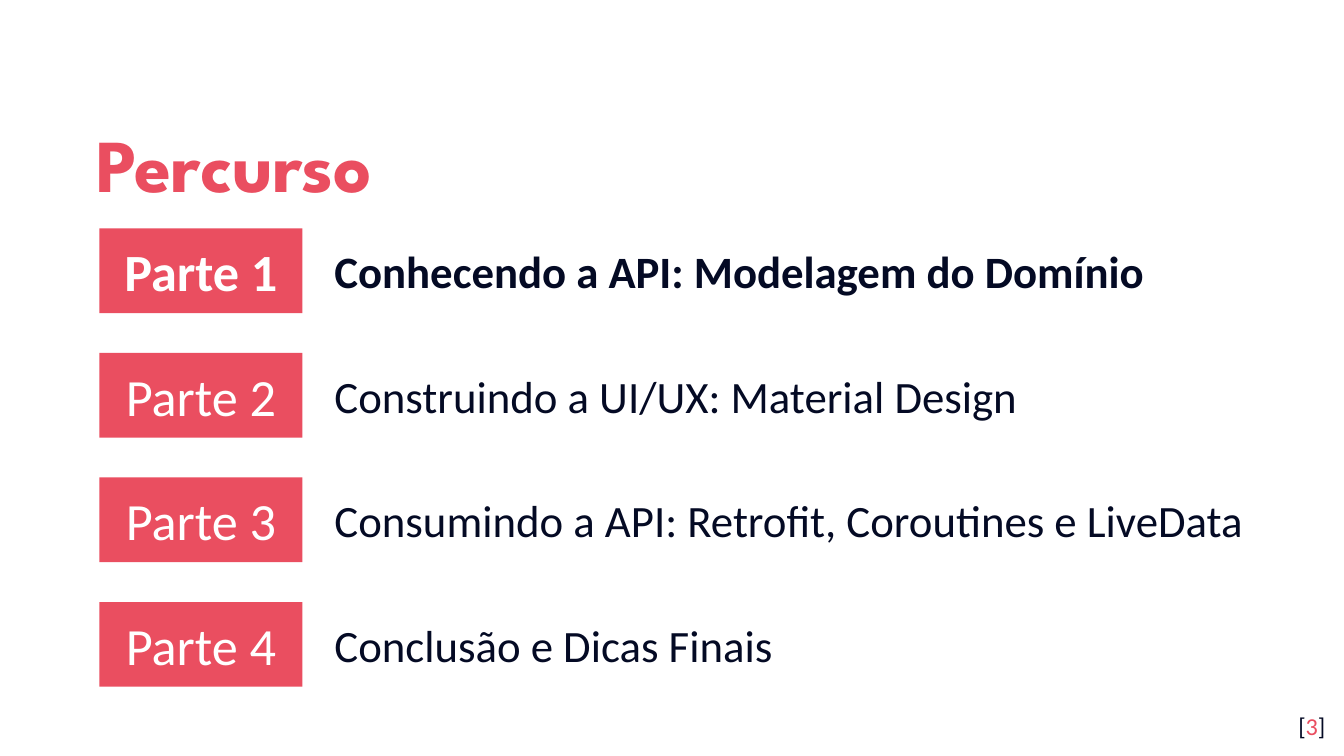
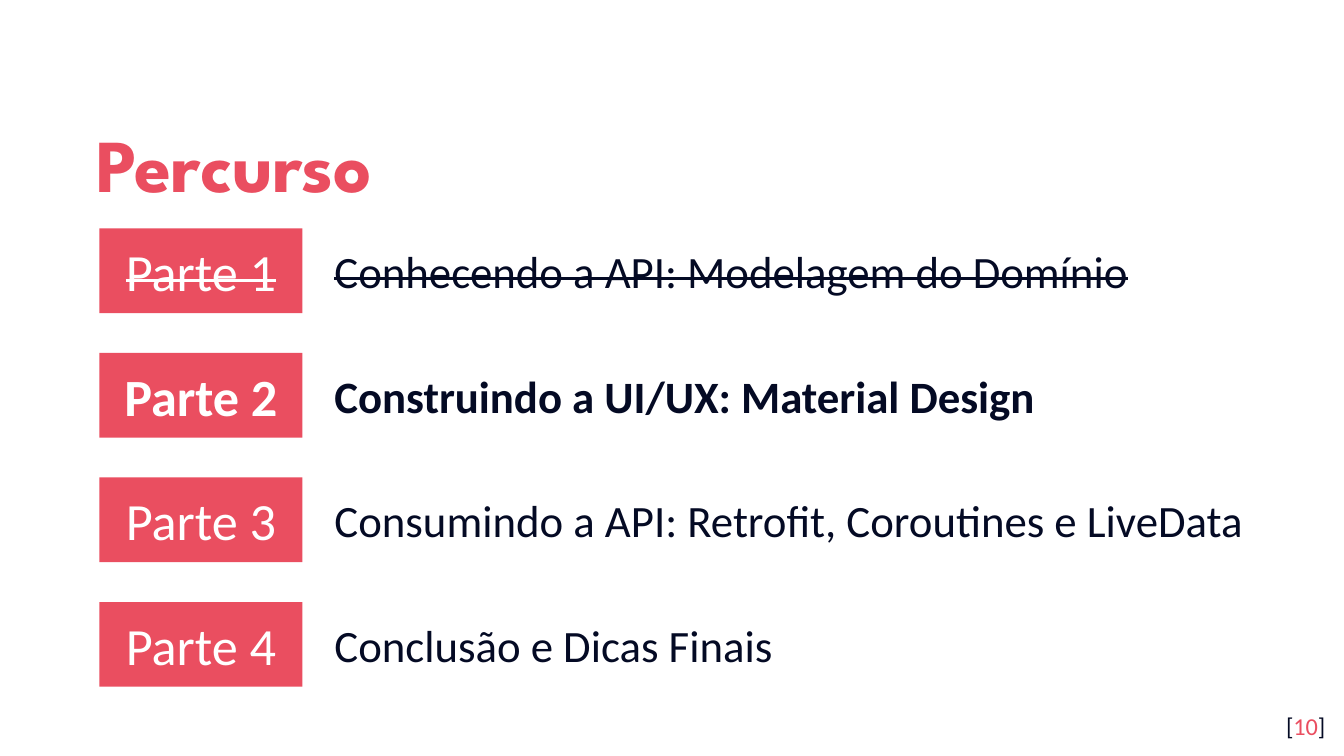
from pptx import Presentation
from pptx import util as u
from pptx.dml import color
from pptx.enum import shapes, text

# Shared look
CORAL, NAVY, WHITE = "EA4E60", "040A24", "FFFFFF"
TITLE_FONT, BODY_FONT = "League Spartan", "Calibri"

# Widescreen page, 16 by 9
SLIDE_WIDTH = 10
SLIDE_HEIGHT = SLIDE_WIDTH * 9 / 16

# Left, top, width, height in inches
TITLE_BOX = (0.62, 0.7, 8.1, 0.92)
AGENDA_BOX = (0.74, 1.7, 9.18, 3.41)
PAGE_BOX = (9.36, 5.19, 0.6, 0.43)

TOPICS = [
    "Conhecendo a API: Modelagem do Domínio",
    "Construindo a UI/UX: Material Design",
    "Consumindo a API: Retrofit, Coroutines e LiveData",
    "Conclusão e Dicas Finais",
]


def rgb(hex_code):
    return color.RGBColor.from_string(hex_code)


def inches(box):
    return [u.Inches(length) for length in box]


def set_frame(frame, inset_y=0.1, anchor=text.MSO_ANCHOR.TOP):
    frame.word_wrap = True
    frame.vertical_anchor = anchor
    frame.margin_left = frame.margin_right = u.Inches(0.1)
    frame.margin_top = frame.margin_bottom = u.Inches(inset_y)


def style_run(run, size, hex_code, font=BODY_FONT, bold=False, struck=False):
    run.font.name = font
    run.font.size = u.Pt(size)
    run.font.bold = bold
    run.font.color.rgb = rgb(hex_code)
    if struck:
        run.font._element.set("strike", "sngStrike")


def add_title(slide, box, wording):
    frame = slide.shapes.add_textbox(*inches(box)).text_frame
    set_frame(frame, anchor=text.MSO_ANCHOR.MIDDLE)
    frame.text = wording
    heading = frame.paragraphs[0]
    heading.line_spacing = 1.15
    style_run(heading.runs[0], 40, CORAL, TITLE_FONT, bold=True)


def add_part(slide, box, label, topic, **emphasis):
    """One agenda row: a coral label and its topic, grouped."""
    left, top, width, height = box
    label_width, topic_offset, topic_height = 1.51, 1.65, 0.5
    row = slide.shapes.add_group_shape().shapes

    # Label
    tag = row.add_shape(shapes.MSO_SHAPE.RECTANGLE,
                        *inches((left, top, label_width, height)))
    tag.shadow.inherit = False
    tag.fill.solid()
    tag.fill.fore_color.rgb = rgb(CORAL)
    tag.line.fill.background()
    set_frame(tag.text_frame, anchor=text.MSO_ANCHOR.MIDDLE)
    tag.text_frame.text = label
    caption = tag.text_frame.paragraphs[0]
    caption.alignment = text.PP_ALIGN.CENTER
    style_run(caption.runs[0], 28, WHITE, **emphasis)

    # Topic, vertically centred on the label
    frame = row.add_textbox(*inches((
        left + topic_offset, top + (height - topic_height) / 2,
        width - topic_offset, topic_height))).text_frame
    set_frame(frame, inset_y=0.05)
    frame.text = topic
    entry = frame.paragraphs[0]
    hanging = entry._p.get_or_add_pPr()
    hanging.set("marL", str(u.Inches(0.5)))
    hanging.set("indent", str(-u.Inches(0.5)))
    style_run(entry.runs[0], 24, NAVY, **emphasis)


def add_agenda(slide, box, current):
    """Parts before the current one are struck out; the current one is bold."""
    left, top, width, height = box
    row_height = 0.63
    pitch = (height - row_height) / (len(TOPICS) - 1)
    for number, topic in enumerate(TOPICS, start=1):
        row_box = (left, top + (number - 1) * pitch, width, row_height)
        add_part(slide, row_box, f"Parte {number}", topic,
                 bold=number == current, struck=number < current)


def add_page_number(slide, box, page):
    frame = slide.shapes.add_textbox(*inches(box)).text_frame
    set_frame(frame)
    line = frame.paragraphs[0]
    line.alignment = text.PP_ALIGN.RIGHT
    for wording, hex_code in (("[", NAVY), (str(page), CORAL), ("]", NAVY)):
        run = line.add_run()
        run.text = wording
        style_run(run, 13, hex_code)


def add_route_slide(deck, current, page):
    slide = deck.slides.add_slide(deck.slide_layouts[6])
    slide.background.fill.solid()
    slide.background.fill.fore_color.rgb = rgb(WHITE)
    add_title(slide, TITLE_BOX, "Percurso")
    add_agenda(slide, AGENDA_BOX, current)
    add_page_number(slide, PAGE_BOX, page)


def main():
    deck = Presentation()
    deck.slide_width = u.Inches(SLIDE_WIDTH)
    deck.slide_height = u.Inches(SLIDE_HEIGHT)
    for current, page in ((1, 3), (2, 10)):
        add_route_slide(deck, current, page)
    deck.save("out.pptx")


if __name__ == "__main__":
    main()
